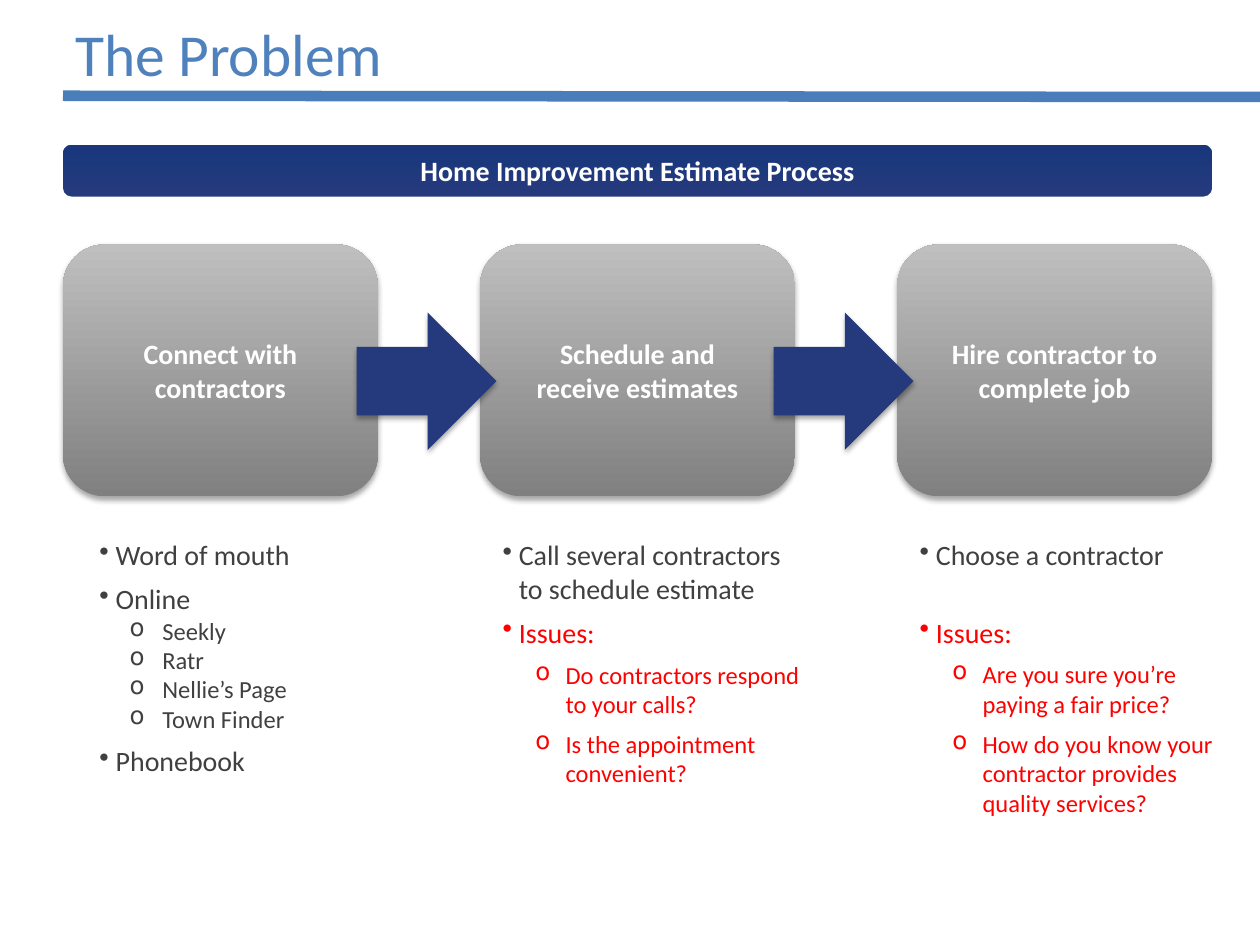
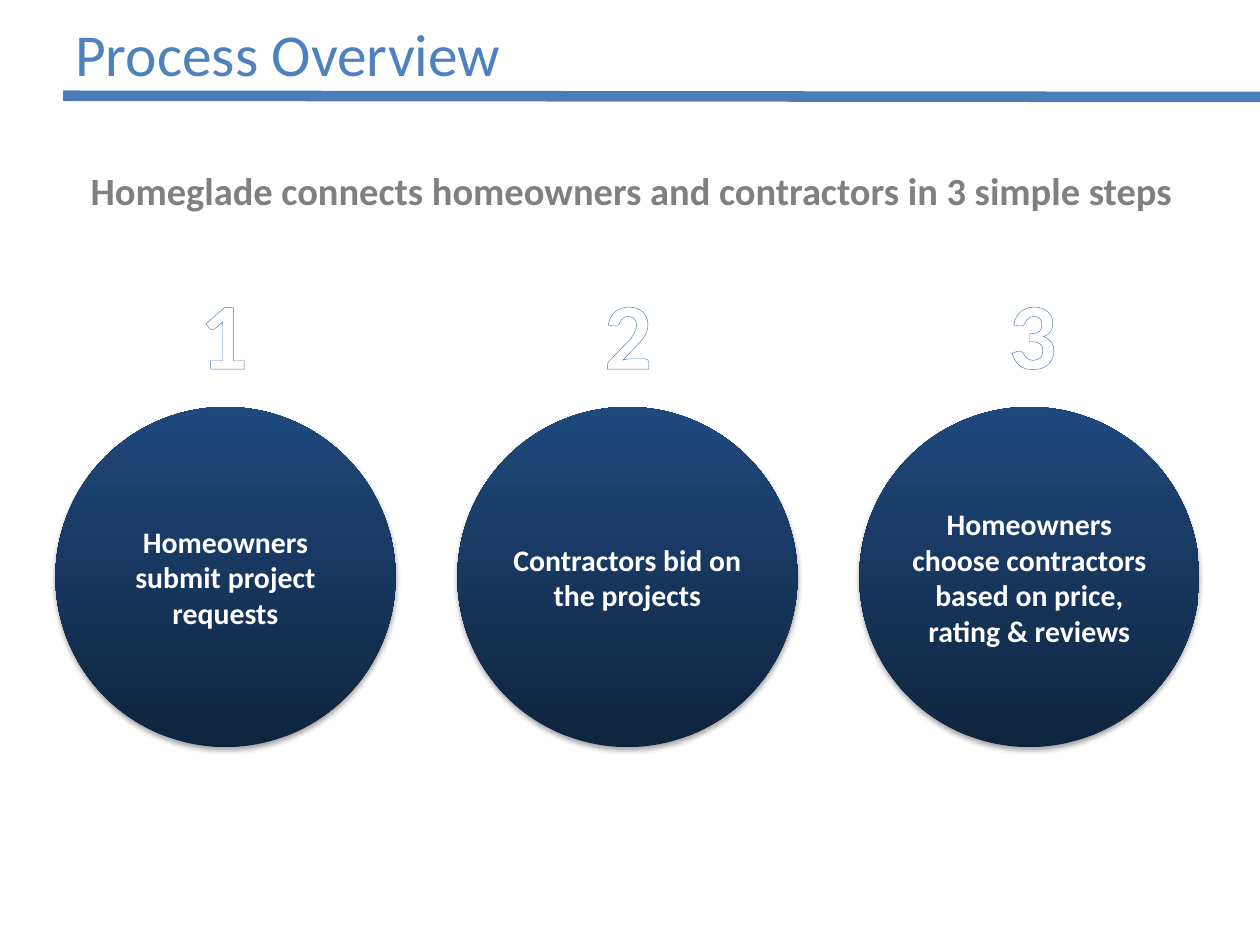
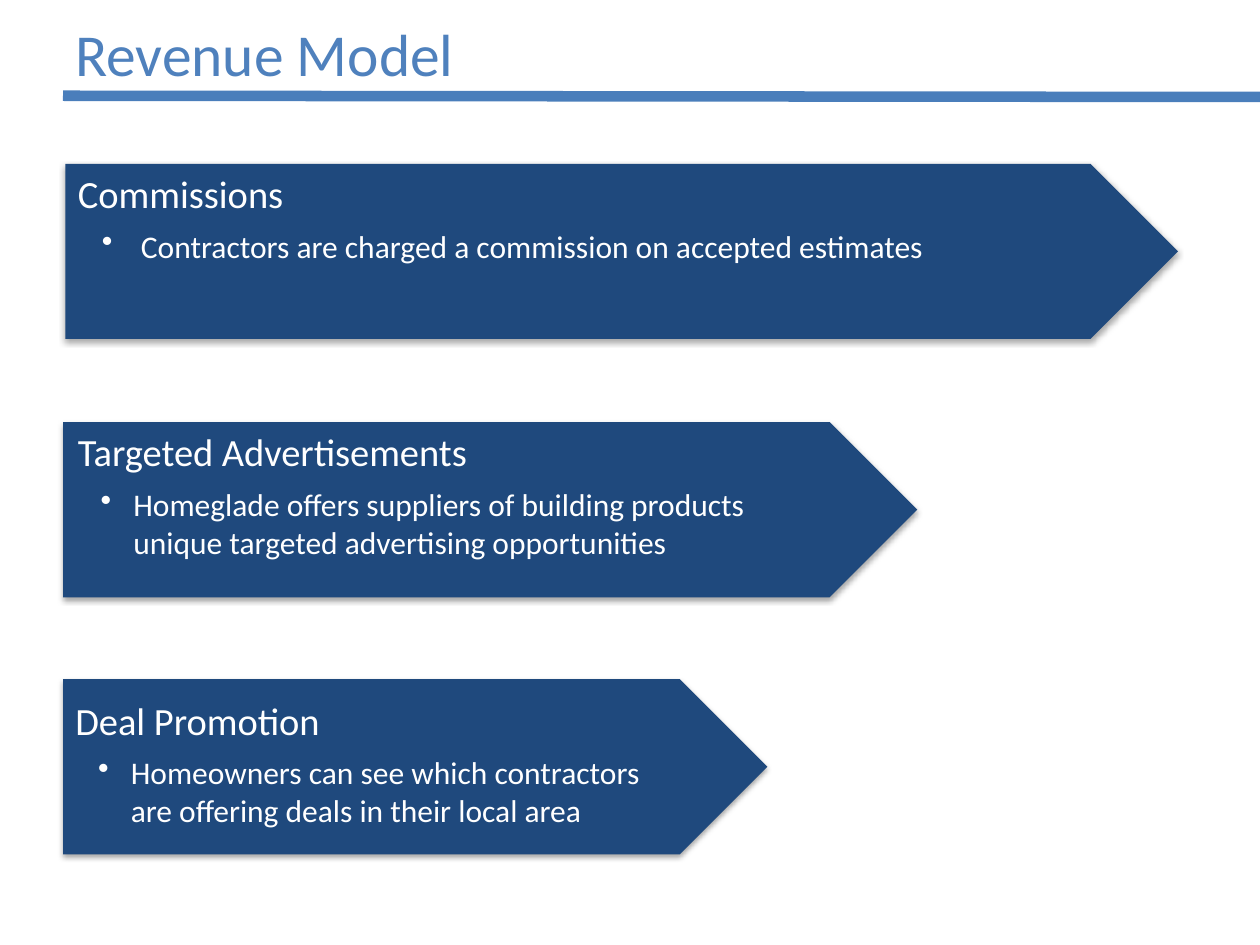
"""Build a three-slide pitch on the problem, the process and the revenue model."""
import lxml.etree
import pptx
import pptx.dml.color
import pptx.enum.shapes
import pptx.enum.text
import pptx.oxml.ns
import pptx.util


class Theme:
    font = "Calibri"
    accent, rule, outline = "4F81BD", "4A7EBB", "467AB8"
    royal, royal_top = "243A7D", "1A377D"
    navy, navy_deep = "1F497D", "0F243E"
    silver, grey, text = "BFBFBF", "808080", "404040"
    white, red, black = "FFFFFF", "FF0000", "000000"
    styles = {
        "title": dict(size=34, colour=accent),
        "label": dict(size=16, colour=white, bold=True, centred=True),
        "circle": dict(size=17, colour=white, bold=True, centred=True),
        "tagline": dict(size=22, colour=grey, bold=True, centred=True),
        "number": dict(size=54, colour=white, bold=True, centred=True, outline=outline),
        "point": dict(size=16, colour=text, bullet="•", indent=0.13, hanging=0.13),
        "source": dict(size=14, colour=text, bullet="o", indent=0.5, hanging=0.26),
        "issue": dict(size=16, colour=red, bullet="•", indent=0.13, hanging=0.13),
        "question": dict(size=14, colour=red, bullet="o", indent=0.5, hanging=0.24),
        "stream": dict(size=22, colour=white),
        "wide detail": dict(size=18, colour=white, bullet="•", indent=0.5, hanging=0.31),
        "detail": dict(size=18, colour=white, bullet="•", indent=0.44, hanging=0.26),
    }


presentation = pptx.Presentation()
presentation.slide_width = pptx.util.Inches(10)
presentation.slide_height = pptx.util.Inches(7.5)
column = presentation.slide_width / 100
row = presentation.slide_height / 75
qn = pptx.oxml.ns.qn
rgb = pptx.dml.color.RGBColor.from_string
presets = pptx.enum.shapes.MSO_SHAPE


def place(slide, preset, left, top, width, height, colours=(), shadowed=True):
    """Add a shape, or a text box when preset is None; two colours run from bottom to top."""
    box = [int(left * column), int(top * row), int(width * column), int(height * row)]
    if preset is None:
        shape = slide.shapes.add_textbox(*box)
        shape.text_frame.word_wrap = True
        return shape
    shape = slide.shapes.add_shape(preset, *box)
    shape.line.fill.background()
    if len(colours) == 1:
        shape.fill.solid()
        shape.fill.fore_color.rgb = rgb(colours[0])
    else:
        shape.fill.gradient()
        shape.fill.gradient_angle = 90
        for stop, colour in zip(shape.fill.gradient_stops, colours):
            stop.color.rgb = rgb(colour)
    shape.shadow.inherit = False
    if shadowed:
        effects = shape._element.spPr.find(qn("a:effectLst"))
        shadow = lxml.etree.SubElement(effects, qn("a:outerShdw"), blurRad="40000",
                                       dist="23000", dir="5400000", rotWithShape="0")
        tint = lxml.etree.SubElement(shadow, qn("a:srgbClr"), val=Theme.black)
        lxml.etree.SubElement(tint, qn("a:alpha"), val="35000")
    frame = shape.text_frame
    frame.margin_left = frame.margin_right = 0
    frame.vertical_anchor = pptx.enum.text.MSO_ANCHOR.MIDDLE
    return shape


def write(shape, *entries):
    """Write (style, text, space after) entries, one paragraph for each."""
    shape.text_frame.text = "\n".join(text for _, text, _ in entries)
    for paragraph, (name, _, after) in zip(shape.text_frame.paragraphs, entries):
        style = Theme.styles[name]
        if "bullet" in style:
            properties = paragraph._p.get_or_add_pPr()
            properties.set("marL", str(pptx.util.Inches(style["indent"])))
            properties.set("indent", str(-pptx.util.Inches(style["hanging"])))
            lxml.etree.SubElement(properties, qn("a:buChar"), char=style["bullet"])
        paragraph.space_after = pptx.util.Pt(after)
        if style.get("centred"):
            paragraph.alignment = pptx.enum.text.PP_ALIGN.CENTER
        for run in paragraph.runs:
            run.font.name = Theme.font
            run.font.size = pptx.util.Pt(style["size"])
            run.font.bold = style.get("bold", False)
            run.font.color.rgb = rgb(style["colour"])
            if "outline" in style:
                line = lxml.etree.Element(qn("a:ln"), w=str(pptx.util.Pt(0.83)))
                fill = lxml.etree.SubElement(line, qn("a:solidFill"))
                lxml.etree.SubElement(fill, qn("a:srgbClr"), val=style["outline"])
                run._r.get_or_add_rPr().insert(0, line)


slides = []
for title in ("The Problem", "Process Overview", "Revenue Model"):
    slide = presentation.slides.add_slide(presentation.slide_layouts[6])
    rule = slide.shapes.add_connector(
        pptx.enum.shapes.MSO_CONNECTOR.STRAIGHT,
        int(100 * column), int(7.7 * row), int(5 * column), int(7.6 * row))
    rule.line.color.rgb = rgb(Theme.rule)
    rule.line.width = pptx.util.Pt(6)
    lxml.etree.SubElement(rule._element.spPr, qn("a:effectLst"))
    write(place(slide, None, 5, 0.9, 56, 6.7), ("title", title, 0))
    slides.append(slide)
problem, process, revenue = slides

banner = place(problem, presets.ROUNDED_RECTANGLE, 5, 11.5, 91.2, 4.1,
               (Theme.royal, Theme.royal_top), shadowed=False)
write(banner, ("label", "Home Improvement Estimate Process", 0))

stages = [
    (["Connect with contractors"], 6.9, 27.1, [
        ("point", "Word of mouth", 6),
        ("point", "Online", 0),
        ("source", "Seekly", 0),
        ("source", "Ratr", 0),
        ("source", "Nellie’s Page", 0),
        ("source", "Town Finder", 6),
        ("point", "Phonebook", 0)]),
    (["Schedule and", "receive estimates"], 38.9, 26, [
        ("point", "Call several contractors to schedule estimate", 6),
        ("issue", "Issues:", 6),
        ("question", "Do contractors respond to your calls?", 6),
        ("question", "Is the appointment convenient?", 6)]),
    (["Hire contractor to complete job"], 72, 26.5, [
        ("point", "Choose a contractor", 25),
        ("issue", "Issues:", 6),
        ("question", "Are you sure you’re paying a fair price?", 6),
        ("question", "How do you know your contractor provides quality services?", 6)]),
]
stage_pitch = 33.1
for index, (lines, list_left, list_width, notes) in enumerate(stages):
    stage = place(problem, presets.ROUNDED_RECTANGLE, 5 + index * stage_pitch, 19.4, 25, 20,
                  (Theme.grey, Theme.silver))
    write(stage, *[("label", line, 0) for line in lines])
    write(place(problem, None, list_left, 42.2, list_width, 24), *notes)
for index in range(len(stages) - 1):
    place(problem, presets.RIGHT_ARROW, 28.3 + index * stage_pitch, 24.8, 11.1, 10.9,
          (Theme.royal,))

tagline = "Homeglade connects homeowners and contractors in 3 simple steps"
write(place(process, None, 5, 12.8, 90.2, 4.7), ("tagline", tagline, 0))
steps = [
    "Homeowners submit project requests",
    "Contractors bid on the projects",
    "Homeowners choose contractors based on price, rating & reviews",
]
for index, step in enumerate(steps):
    circle = place(process, presets.OVAL, 4.4 + index * 31.9, 32.3, 27, 27,
                   (Theme.navy_deep, Theme.navy))
    write(circle, ("circle", step, 0))
    number = place(process, None, 14.8 + index * 32.1, 21.3, 5.9, 10.1)
    number.text_frame.word_wrap = False
    write(number, ("number", str(index + 1), 0))

streams = [
    ("Commissions", "wide detail",
     "Contractors are charged a commission on accepted estimates",
     (5.2, 13, 88.3), (5.2, 13, 82.1)),
    ("Targeted Advertisements", "detail",
     "Homeglade offers suppliers of building products unique targeted advertising opportunities",
     (5, 33.5, 67.8), (5.2, 33.5, 60.9)),
    ("Deal Promotion", "detail",
     "Homeowners can see which contractors are offering deals in their local area",
     (5, 53.9, 55.9), (5, 54.8, 49.4)),
]
for name, detail_style, detail, banner_box, text_box in streams:
    place(revenue, presets.PENTAGON, *banner_box, 13.9, (Theme.navy,))
    write(place(revenue, None, *text_box, 11.6), ("stream", name, 6), (detail_style, detail, 0))

presentation.save("out.pptx")
